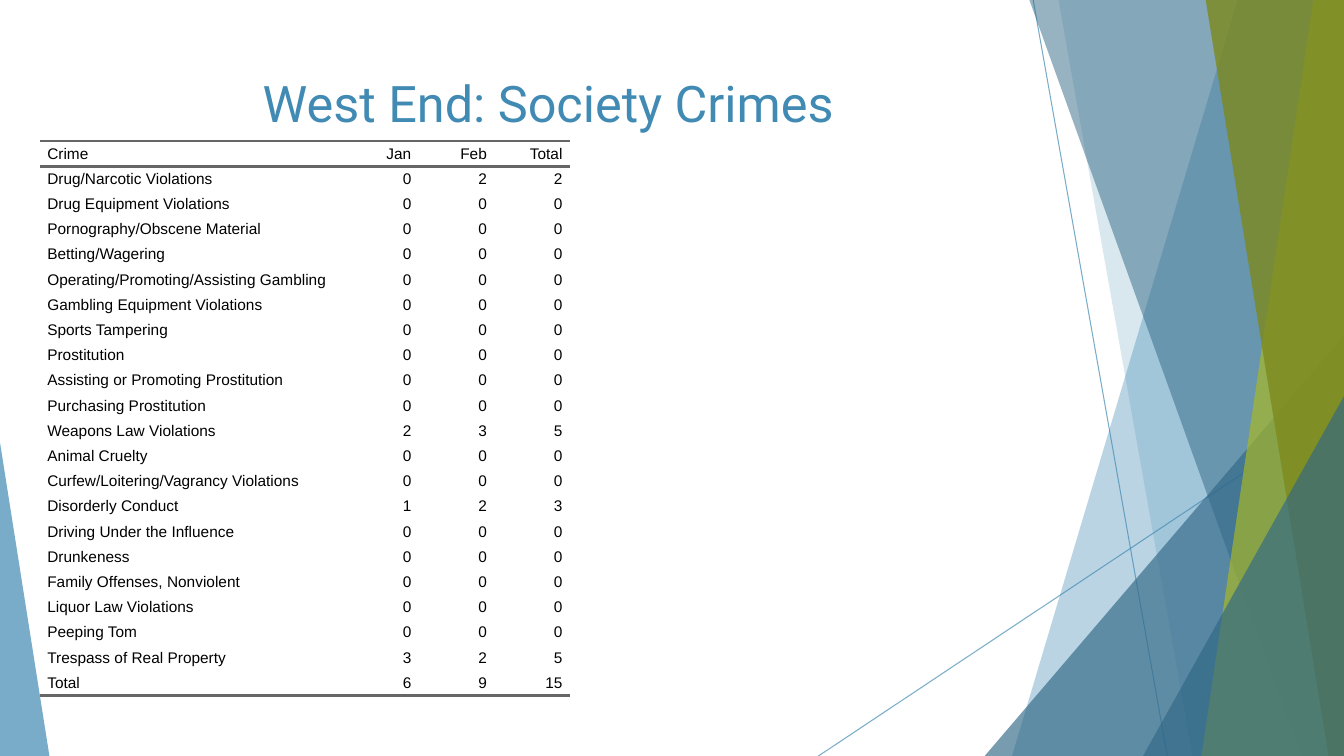
from dataclasses import dataclass

from lxml.etree import SubElement
from pptx import Presentation
from pptx.dml.color import RGBColor
from pptx.enum.shapes import MSO_CONNECTOR, MSO_SHAPE
from pptx.enum.text import MSO_ANCHOR, PP_ALIGN
from pptx.oxml.ns import qn
from pptx.shapes.autoshape import Shape
from pptx.slide import Slide
from pptx.table import _Cell
from pptx.util import Pt

SLIDE_WIDTH, SLIDE_HEIGHT = 960, 540
PANEL_TOP = -0.6
BLUE, DARK_BLUE = "418AB3", "316886"
LIME, OLIVE = "A6B727", "7D891D"
RULE_COLOR, RULE_WIDTH = "666666", 2
COLUMN_WIDTHS = (216, 54, 54, 54)
ROW_HEIGHT = 18
CELL_INDENT = 5
NO_GRID_STYLE = "{2D5ABB26-0587-4C30-8999-92F81FD0307C}"


@dataclass
class Ray:
    start: tuple[float, float]
    end: tuple[float, float]


@dataclass
class Panel:
    """A band running from its slanted left side to the slide's right edge."""
    top_left: float
    bottom_left: float
    color: str
    opacity: int


@dataclass
class Wedge:
    """A right triangle standing on the slide's bottom edge."""
    left: float
    top: float
    width: float
    apex: int
    color: str
    opacity: int


RAYS = [Ray((738, 0), (833.8, 540)), Ray((960, 290.2), (584.6, 540))]
FACETS = [
    Panel(884.2, 722.9, BLUE, 36),
    Panel(756, 851.8, BLUE, 20),
    Wedge(703.4, 239.8, 256.6, 1, DARK_BLUE, 66),
    Panel(735.1, 929.5, DARK_BLUE, 50),
    Panel(938.2, 858.2, LIME, 70),
    Panel(861.1, 949, OLIVE, 80),
    Wedge(816.5, 283, 143.5, 1, DARK_BLUE, 66),
    Wedge(0, 316.1, 35.3, 0, BLUE, 70),
]

CRIMES = [
    ("Drug/Narcotic Violations", 0, 2),
    ("Drug Equipment Violations", 0, 0),
    ("Pornography/Obscene Material", 0, 0),
    ("Betting/Wagering", 0, 0),
    ("Operating/Promoting/Assisting Gambling", 0, 0),
    ("Gambling Equipment Violations", 0, 0),
    ("Sports Tampering", 0, 0),
    ("Prostitution", 0, 0),
    ("Assisting or Promoting Prostitution", 0, 0),
    ("Purchasing Prostitution", 0, 0),
    ("Weapons Law Violations", 2, 3),
    ("Animal Cruelty", 0, 0),
    ("Curfew/Loitering/Vagrancy Violations", 0, 0),
    ("Disorderly Conduct", 1, 2),
    ("Driving Under the Influence", 0, 0),
    ("Drunkeness", 0, 0),
    ("Family Offenses, Nonviolent", 0, 0),
    ("Liquor Law Violations", 0, 0),
    ("Peeping Tom", 0, 0),
    ("Trespass of Real Property", 3, 2),
]


def rgb(color: str) -> RGBColor:
    return RGBColor.from_string(color)


def set_opacity(solid_fill, percent: int) -> None:
    SubElement(solid_fill[0], qn("a:alpha"), val=str(percent * 1000))


def draw_ray(slide: Slide, ray: Ray) -> None:
    connector = slide.shapes.add_connector(
        MSO_CONNECTOR.STRAIGHT, *map(Pt, ray.start), *map(Pt, ray.end))
    connector.line.color.rgb = rgb(BLUE)
    connector.line.width = Pt(0.75)
    properties = connector._element.spPr
    set_opacity(properties.find(f"{qn('a:ln')}/{qn('a:solidFill')}"), 70)
    SubElement(properties, qn("a:effectLst"))


def add_panel(slide: Slide, panel: Panel) -> Shape:
    builder = slide.shapes.build_freeform(Pt(panel.top_left), Pt(PANEL_TOP))
    builder.add_line_segments([
        (Pt(SLIDE_WIDTH), Pt(PANEL_TOP)),
        (Pt(SLIDE_WIDTH), Pt(SLIDE_HEIGHT)),
        (Pt(panel.bottom_left), Pt(SLIDE_HEIGHT)),
    ])
    return builder.convert_to_shape()


def add_wedge(slide: Slide, wedge: Wedge) -> Shape:
    shape = slide.shapes.add_shape(
        MSO_SHAPE.ISOSCELES_TRIANGLE, Pt(wedge.left), Pt(wedge.top),
        Pt(wedge.width), Pt(SLIDE_HEIGHT - wedge.top))
    shape.adjustments[0] = wedge.apex
    return shape


def draw_facet(slide: Slide, facet: Panel | Wedge) -> None:
    add = add_panel if isinstance(facet, Panel) else add_wedge
    shape = add(slide, facet)
    shape.shadow.inherit = False
    shape.line.fill.background()
    shape.fill.solid()
    shape.fill.fore_color.rgb = rgb(facet.color)
    set_opacity(shape._element.spPr.find(qn("a:solidFill")), facet.opacity)


def write_cell(cell: _Cell, text: str, align: PP_ALIGN, rules: list[str]) -> None:
    """Fill in one cell; rules names the border tags to draw."""
    cell.margin_left = cell.margin_right = cell.margin_top = cell.margin_bottom = 0
    cell.vertical_anchor = MSO_ANCHOR.MIDDLE
    for tag in rules:
        border = SubElement(cell._tc.get_or_add_tcPr(), qn(tag), w=str(Pt(RULE_WIDTH)))
        fill = SubElement(border, qn("a:solidFill"))
        SubElement(fill, qn("a:srgbClr"), val=RULE_COLOR)
    cell.fill.background()
    cell.text = text
    paragraph = cell.text_frame.paragraphs[0]
    paragraph.alignment = align
    paragraph.space_before = paragraph.space_after = Pt(5)
    paragraph.font.name = "Arial"
    paragraph.font.size = Pt(11)
    paragraph.font.color.rgb = rgb("000000")
    properties = paragraph._p.get_or_add_pPr()
    for side in ("marL", "marR"):
        properties.set(side, str(Pt(CELL_INDENT)))
    properties.set("indent", "0")


def draw_crime_table(slide: Slide) -> None:
    january = sum(crime[1] for crime in CRIMES)
    february = sum(crime[2] for crime in CRIMES)
    counts = [*CRIMES, ("Total", january, february)]
    rows = [("Crime", "Jan", "Feb", "Total")]
    rows += [(name, jan, feb, jan + feb) for name, jan, feb in counts]
    table = slide.shapes.add_table(
        len(rows), len(COLUMN_WIDTHS), Pt(28.8), Pt(100.8),
        Pt(sum(COLUMN_WIDTHS)), Pt(ROW_HEIGHT * len(rows))).table
    table.first_row = table.horz_banding = False
    table._tbl.tblPr.find(qn("a:tableStyleId")).text = NO_GRID_STYLE
    for column, width in zip(table.columns, COLUMN_WIDTHS):
        column.width = Pt(width)
    rules = {0: ["a:lnT", "a:lnB"], len(rows) - 1: ["a:lnB"]}
    for row_index, row in enumerate(rows):
        table.rows[row_index].height = Pt(ROW_HEIGHT)
        for column_index, value in enumerate(row):
            align = PP_ALIGN.RIGHT if column_index else PP_ALIGN.LEFT
            write_cell(table.cell(row_index, column_index), str(value), align,
                       rules.get(row_index, []))


def draw_title(slide: Slide) -> None:
    title = slide.shapes.add_textbox(Pt(53.3), Pt(48.2), Pt(676.8), Pt(103.7))
    title.text_frame.word_wrap = True
    title.text_frame.text = "West End: Society Crimes"
    paragraph = title.text_frame.paragraphs[0]
    paragraph.alignment = PP_ALIGN.CENTER
    paragraph.font.name = "Roboto"
    paragraph.font.size = Pt(36)
    paragraph.font.color.rgb = rgb(BLUE)


def main() -> None:
    presentation = Presentation()
    presentation.slide_width = Pt(SLIDE_WIDTH)
    presentation.slide_height = Pt(SLIDE_HEIGHT)
    slide = presentation.slides.add_slide(presentation.slide_layouts[6])
    for ray in RAYS:
        draw_ray(slide, ray)
    for facet in FACETS:
        draw_facet(slide, facet)
    draw_crime_table(slide)
    draw_title(slide)
    presentation.save("out.pptx")


if __name__ == "__main__":
    main()
